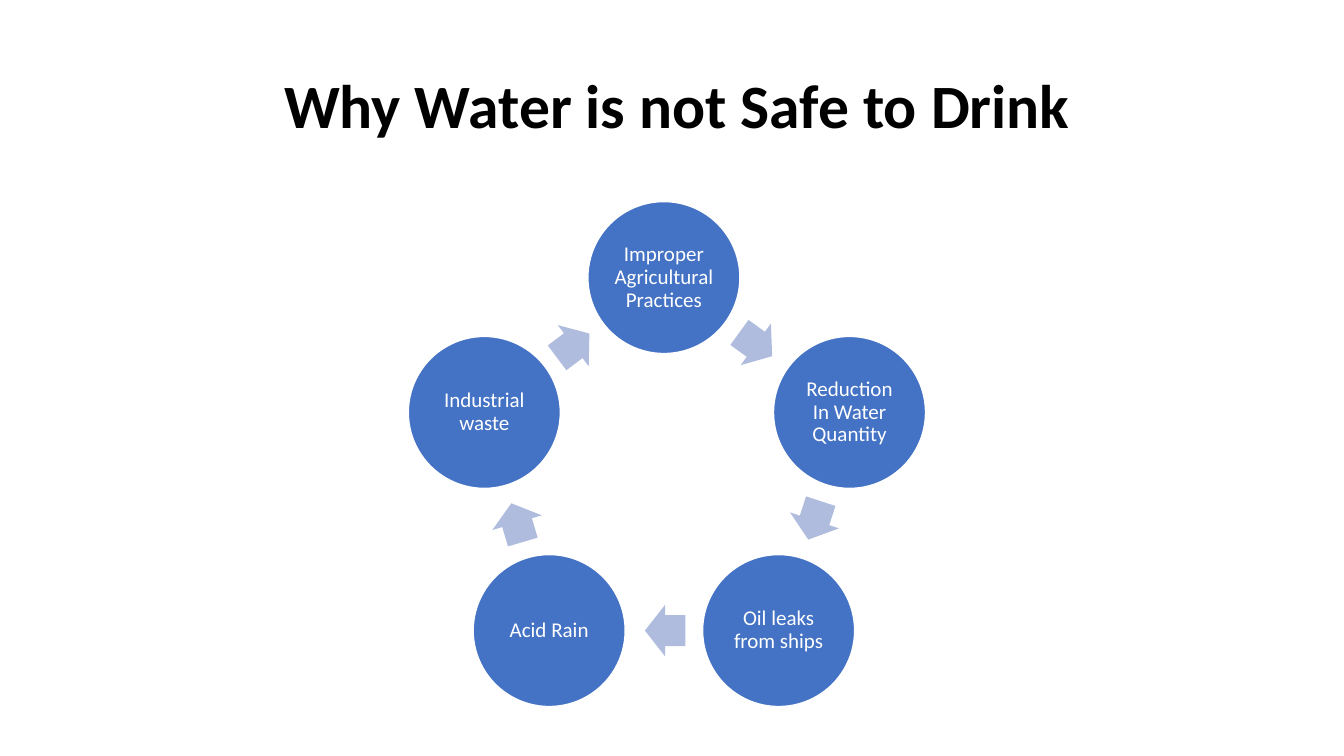
from dataclasses import dataclass
from math import atan2, cos, degrees, pi, sin

from pptx import Presentation
from pptx.dml.color import RGBColor
from pptx.enum.shapes import MSO_SHAPE
from pptx.enum.text import MSO_ANCHOR, PP_ALIGN
from pptx.util import Inches, Pt

OVAL, ARROW = MSO_SHAPE.OVAL, MSO_SHAPE.RIGHT_ARROW
MIDDLE, CENTER, LEFT = MSO_ANCHOR.MIDDLE, PP_ALIGN.CENTER, PP_ALIGN.LEFT
BLANK = 6


@dataclass(frozen=True)
class Theme:
    font: str = "Calibri"
    title_size: int = 44
    label_size: int = 15
    line_spacing: float = 0.9
    ink: RGBColor = RGBColor(0, 0, 0)
    paper: RGBColor = RGBColor(255, 255, 255)
    circle: RGBColor = RGBColor(0x44, 0x72, 0xC4)
    arrow: RGBColor = RGBColor(0xB0, 0xBC, 0xDE)


THEME = Theme()
SLIDE_W, SLIDE_H = 13.33, 7.5
TITLE_BOX = (0.92, 0.35, 11.5, 1.45)
CYCLE_BOX = (3.99, 2, 5.19, 5.01)
TITLE = "Why Water is not Safe to Drink"
CAUSES = [
    ("Improper Agricultural Practices", 0),
    ("Reduction In Water Quantity", 0),
    ("Oil leaks from ships", 0),
    ("Acid Rain", 0),
    ("Industrial waste", 0.06),
]


def write(tf, text, size, color, align, bold=False):
    tf.word_wrap = True
    tf.vertical_anchor = MIDDLE
    tf.text = text
    p = tf.paragraphs[0]
    p.alignment = align
    p.line_spacing = THEME.line_spacing
    font = p.runs[0].font
    font.name, font.size, font.bold = THEME.font, Pt(size), bold
    font.color.rgb = color


def add_centred(s, kind, cx, cy, w, h, fill):
    sp = s.shapes.add_shape(kind, Inches(cx - w / 2), Inches(cy - h / 2),
                            Inches(w), Inches(h))
    sp.shadow.inherit = False
    sp.fill.solid()
    sp.fill.fore_color.rgb = fill
    return sp


def add_title(s, box):
    x, y, w, h = box
    tf = s.shapes.add_textbox(Inches(x), Inches(y), Inches(w), Inches(h)).text_frame
    tf.margin_left = Inches(w * 0.165)
    write(tf, TITLE, THEME.title_size, THEME.ink, LEFT, True)


def add_circle(s, cx, cy, diameter, text):
    sp = add_centred(s, OVAL, cx, cy, diameter, diameter, THEME.circle)
    sp.line.color.rgb = THEME.paper
    sp.line.width = Pt(1)
    tf = sp.text_frame
    tf.margin_left = tf.margin_right = Inches(0.02)
    tf.margin_top = tf.margin_bottom = Inches(0.02)
    write(tf, text, THEME.label_size, THEME.paper, CENTER)


def add_arrow(s, start, end, length, breadth):
    (x1, y1), (x2, y2) = start, end
    share = 0.495
    sp = add_centred(s, ARROW, x1 + (x2 - x1) * share, y1 + (y2 - y1) * share,
                     length, breadth, THEME.arrow)
    sp.line.fill.background()
    sp.adjustments[0], sp.adjustments[1] = 0.6, 0.5
    sp.rotation = degrees(atan2(y2 - y1, x2 - x1)) % 360


def add_cycle(s, box):
    x, y, w, h = box
    diameter = h * 0.301
    radius = (h - diameter) / (1 + cos(pi / 5))
    cx, cy = x + w / 2, y + diameter / 2 + radius
    step = 2 * pi / len(CAUSES)
    centres = [(cx + radius * sin(i * step) + shift, cy - radius * cos(i * step))
               for i, (_, shift) in enumerate(CAUSES)]
    for i, (text, _) in enumerate(CAUSES):
        add_circle(s, *centres[i], diameter, text)
        add_arrow(s, centres[i], centres[(i + 1) % len(centres)], h * 0.08, h * 0.102)


def main():
    prs = Presentation()
    prs.slide_width, prs.slide_height = Inches(SLIDE_W), Inches(SLIDE_H)
    s = prs.slides.add_slide(prs.slide_layouts[BLANK])
    add_title(s, TITLE_BOX)
    add_cycle(s, CYCLE_BOX)
    prs.save("out.pptx")


if __name__ == "__main__":
    main()
